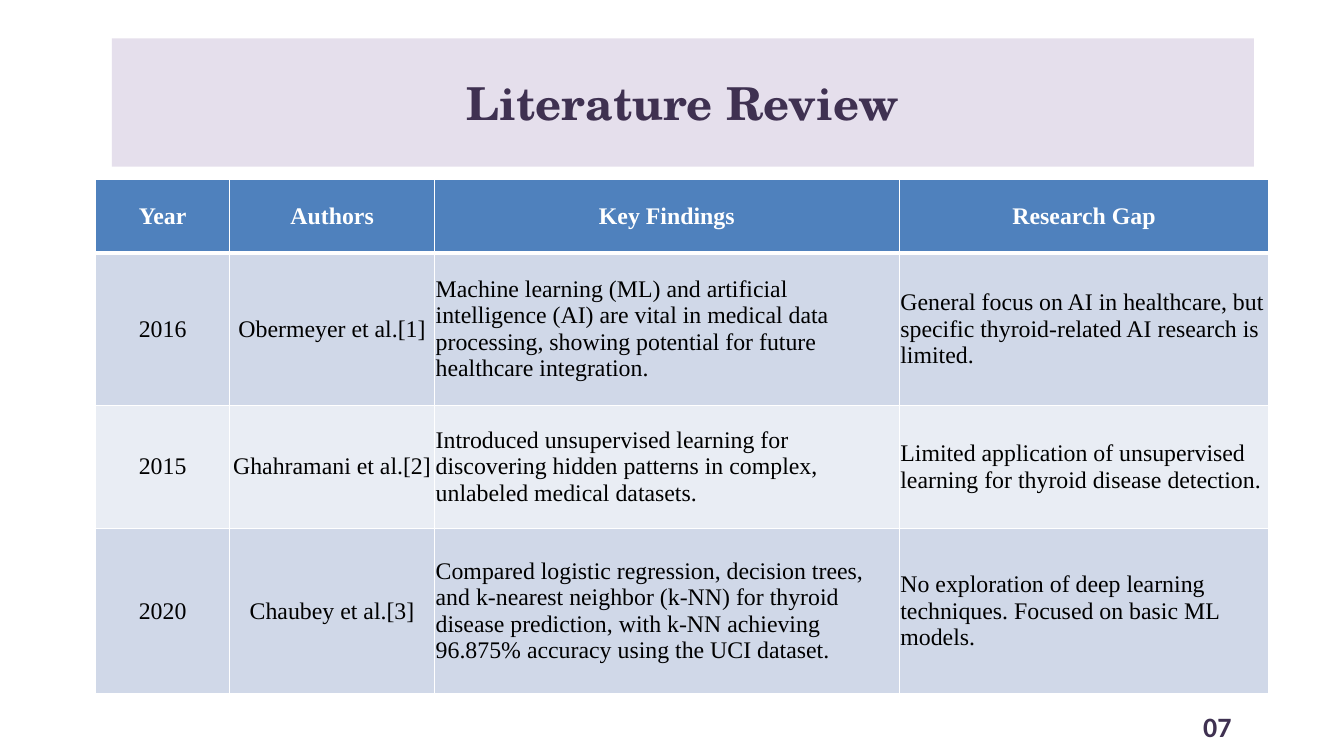
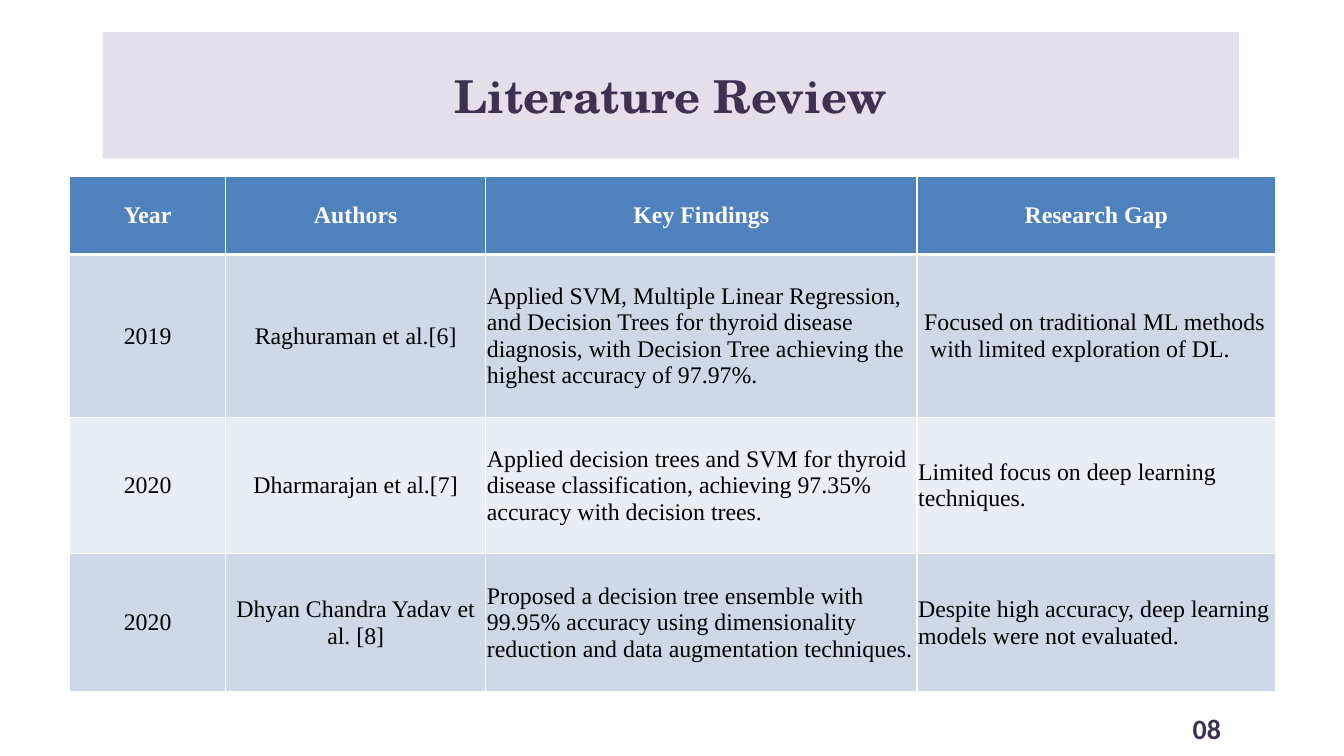
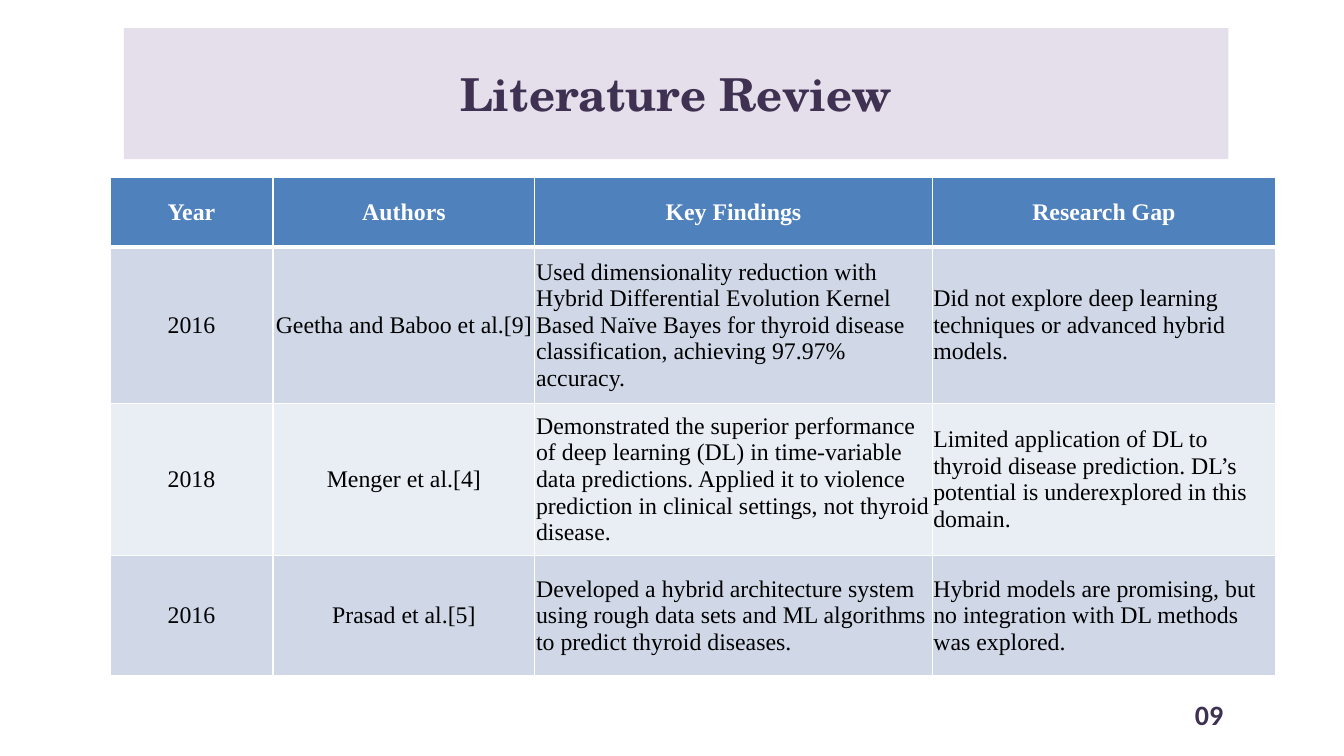
from dataclasses import dataclass

from lxml import etree
from pptx import Presentation
from pptx import util as u
from pptx.dml import color
from pptx.enum import text
from pptx.oxml import ns


@dataclass(frozen=True)
class Theme:
    band: str = "E5DFEC"
    ink: str = "3F3151"
    header: str = "4F81BD"
    odd_row: str = "D0D8E8"
    even_row: str = "E9EDF4"
    white: str = "FFFFFF"
    black: str = "000000"
    title_font: str = "TeX Gyre Schola"
    table_font: str = "Times New Roman"
    number_font: str = "Calibri"
    title_size: float = 32.4
    table_size: float = 17
    number_size: float = 20
    thin_border: float = 1
    thick_border: float = 3
    cell_margin: float = 0.03


TITLE = "Literature Review"
HEADINGS = ("Year", "Authors", "Key Findings", "Research Gap")
HANGING_GAP = "Focused on traditional ML methods with limited exploration of DL."

REVIEWS = [
    {
        "number": "07",
        "title_box": (2.82, 0.97, 28.78, 3.23),
        "table_corner": (2.41, 4.52),
        "columns": (3.38, 5.16, 11.71, 9.32),
        "rows": (1.85, 3.84, 3.1, 4.17),
        "number_box": (29.36, 17.75, 2.64, 1.09),
        "studies": [
            ("2016", "Obermeyer et al.[1]",
             "Machine learning (ML) and artificial intelligence (AI) are vital in medical data "
             "processing, showing potential for future healthcare integration.",
             "General focus on AI in healthcare, but specific thyroid-related AI research is limited."),
            ("2015", "Ghahramani et al.[2]",
             "Introduced unsupervised learning for discovering hidden patterns in complex, "
             "unlabeled medical datasets.",
             "Limited application of unsupervised learning for thyroid disease detection."),
            ("2020", "Chaubey et al.[3]",
             "Compared logistic regression, decision trees, and k-nearest neighbor (k-NN) for thyroid "
             "disease prediction, with k-NN achieving 96.875% accuracy using the UCI dataset.",
             "No exploration of deep learning techniques. Focused on basic ML models."),
        ],
    },
    {
        "number": "08",
        "title_box": (2.59, 0.81, 28.63, 3.18),
        "table_corner": (1.75, 4.45),
        "columns": (3.94, 6.55, 10.87, 9.04),
        "rows": (1.96, 4.11, 3.43, 3.48),
        "number_box": (28.75, 17.83, 3.33, 1.02),
        "studies": [
            ("2019", "Raghuraman et al.[6]",
             "Applied SVM, Multiple Linear Regression, and Decision Trees for thyroid disease "
             "diagnosis, with Decision Tree achieving the highest accuracy of 97.97%.",
             HANGING_GAP),
            ("2020", "Dharmarajan et al.[7]",
             "Applied decision trees and SVM for thyroid disease classification, achieving 97.35% "
             "accuracy with decision trees.",
             "Limited focus on deep learning techniques."),
            ("2020", "Dhyan Chandra Yadav et al. [8]",
             "Proposed a decision tree ensemble with 99.95% accuracy using dimensionality reduction "
             "and data augmentation techniques.",
             "Despite high accuracy, deep learning models were not evaluated."),
        ],
    },
    {
        "number": "09",
        "title_box": (3.12, 0.71, 27.84, 3.3),
        "table_corner": (2.77, 4.47),
        "columns": (4.11, 6.6, 10.01, 8.66),
        "rows": (1.75, 3.94, 3.84, 3.02),
        "number_box": (29.11, 17.5, 2.72, 1.02),
        "studies": [
            ("2016", "Geetha and Baboo et al.[9]",
             "Used dimensionality reduction with Hybrid Differential Evolution Kernel Based Naïve "
             "Bayes for thyroid disease classification, achieving 97.97% accuracy.",
             "Did not explore deep learning techniques or advanced hybrid models."),
            ("2018", "Menger et al.[4]",
             "Demonstrated the superior performance of deep learning (DL) in time-variable data "
             "predictions. Applied it to violence prediction in clinical settings, not thyroid disease.",
             "Limited application of DL to thyroid disease prediction. DL’s potential is "
             "underexplored in this domain."),
            ("2016", "Prasad et al.[5]",
             "Developed a hybrid architecture system using rough data sets and ML algorithms to "
             "predict thyroid diseases.",
             "Hybrid models are promising, but no integration with DL methods was explored."),
        ],
    },
]


class ReviewDeck:
    def __init__(self, theme):
        self.theme = theme
        self.presentation = Presentation()
        self.presentation.slide_width = u.Cm(33.87)
        self.presentation.slide_height = u.Cm(19.05)
        self.slide = None

    def add_slide(self):
        self.slide = self.presentation.slides.add_slide(self.presentation.slide_layouts[5])

    def set_text(self, frame, wording, font_name, size, ink, bold=True, centred=True):
        frame.text = wording
        frame.word_wrap = True
        paragraph = frame.paragraphs[0]
        paragraph.alignment = text.PP_ALIGN.CENTER if centred else text.PP_ALIGN.LEFT
        font = paragraph.font
        font.name, font.size, font.bold = font_name, u.Pt(size), bold
        font.color.rgb = color.RGBColor.from_string(ink)
        return paragraph

    def set_fill(self, target, shade):
        target.fill.solid()
        target.fill.fore_color.rgb = color.RGBColor.from_string(shade)

    def title(self, wording, box):
        shape = self.slide.shapes.title
        shape.left, shape.top, shape.width, shape.height = map(u.Cm, box)
        self.set_fill(shape, self.theme.band)
        frame = shape.text_frame
        frame.auto_size = text.MSO_AUTO_SIZE.NONE
        frame.vertical_anchor = text.MSO_ANCHOR.MIDDLE
        self.set_text(frame, wording, self.theme.title_font, self.theme.title_size, self.theme.ink)

    def page_number(self, wording, box):
        frame = self.slide.shapes.add_textbox(*map(u.Cm, box)).text_frame
        frame.vertical_anchor = text.MSO_ANCHOR.MIDDLE
        self.set_text(frame, wording, self.theme.number_font, self.theme.number_size, self.theme.ink)

    def borders(self, cell, row):
        thin, thick = self.theme.thin_border, self.theme.thick_border
        widths = {"L": thin, "R": thin, "T": thick if row == 1 else thin, "B": thick if row == 0 else thin}
        properties = cell._tc.get_or_add_tcPr()
        for side, width in widths.items():
            line = etree.SubElement(properties, ns.qn(f"a:ln{side}"), w=str(u.Pt(width)))
            solid = etree.SubElement(line, ns.qn("a:solidFill"))
            etree.SubElement(solid, ns.qn("a:srgbClr"), val=self.theme.white)

    def cell(self, cell, row, column, wording):
        theme = self.theme
        is_header = row == 0
        self.borders(cell, row)
        self.set_fill(cell, theme.header if is_header else theme.odd_row if row % 2 else theme.even_row)
        cell.vertical_anchor = text.MSO_ANCHOR.MIDDLE
        cell.margin_left = cell.margin_right = u.Cm(theme.cell_margin)
        cell.margin_top = cell.margin_bottom = u.Cm(theme.cell_margin)
        paragraph = self.set_text(cell.text_frame, wording, theme.table_font, theme.table_size,
                                  theme.white if is_header else theme.black,
                                  bold=is_header, centred=is_header or column < 2)
        if wording == HANGING_GAP:
            properties = paragraph._p.get_or_add_pPr()
            properties.set("marL", str(u.Cm(0.3)))
            properties.set("indent", str(u.Cm(-0.15)))

    def table(self, corner, columns, rows, records):
        size = (sum(columns), sum(rows))
        frame = self.slide.shapes.add_table(len(rows), len(columns), *map(u.Cm, corner + size))
        table = frame.table
        for column, width in zip(table.columns, columns):
            column.width = u.Cm(width)
        for row, height in zip(table.rows, rows):
            row.height = u.Cm(height)
        for row, record in enumerate(records):
            for column, wording in enumerate(record):
                self.cell(table.cell(row, column), row, column, wording)


def main():
    deck = ReviewDeck(Theme())
    for review in REVIEWS:
        deck.add_slide()
        deck.title(TITLE, review["title_box"])
        deck.table(review["table_corner"], review["columns"], review["rows"],
                   [HEADINGS, *review["studies"]])
        deck.page_number(review["number"], review["number_box"])
    deck.presentation.save("out.pptx")


if __name__ == "__main__":
    main()
